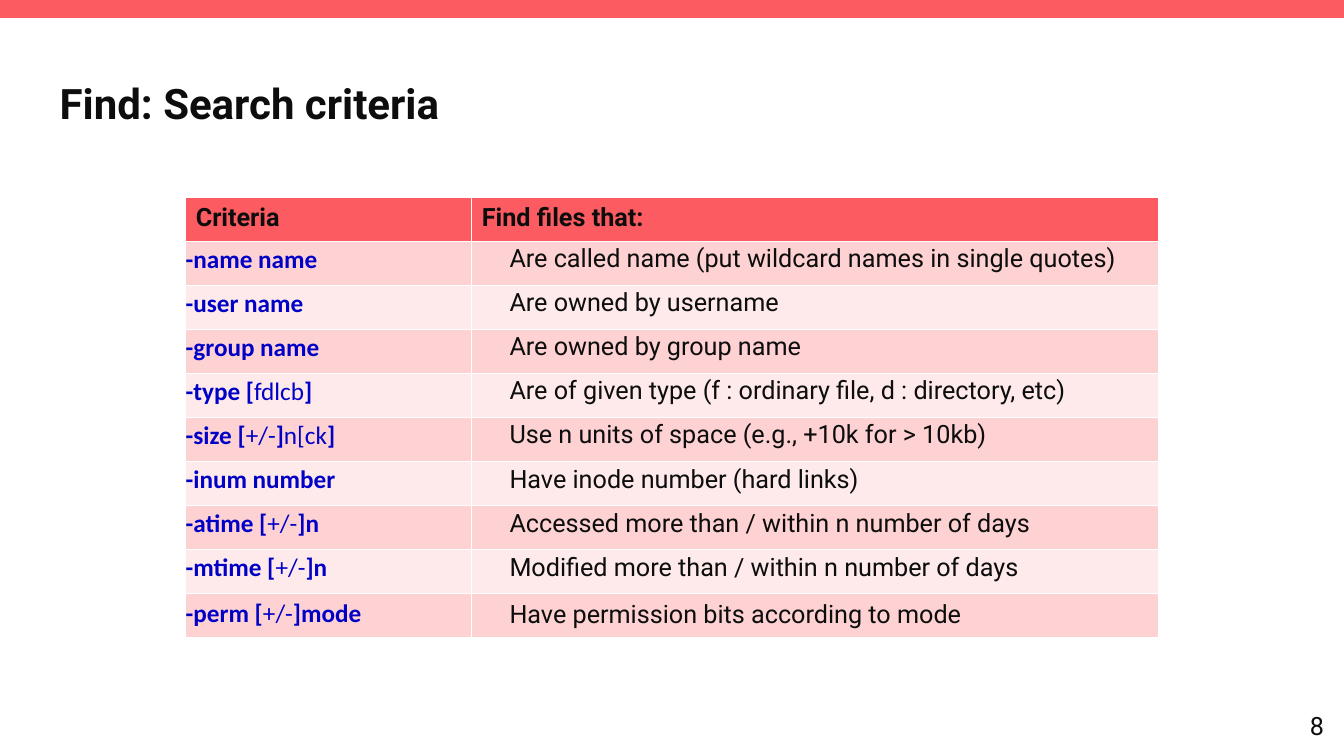
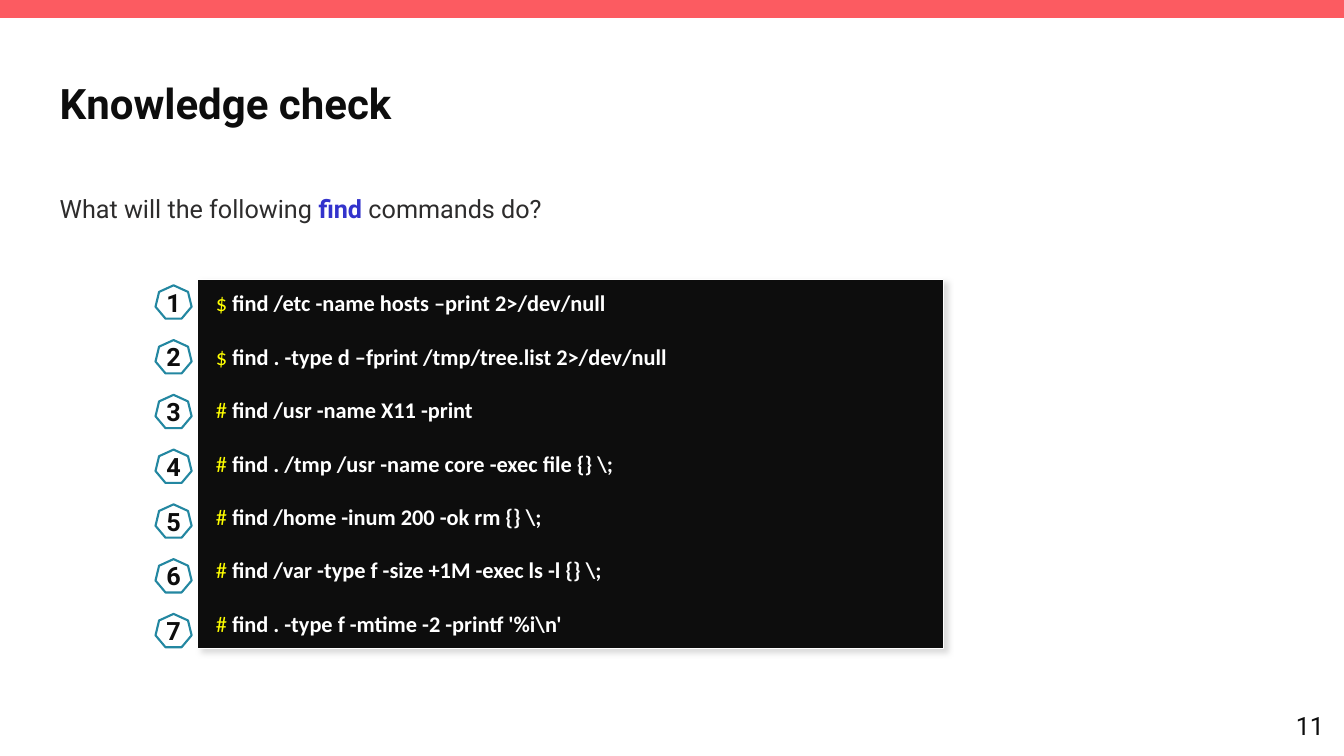
"""Build two slides on the find command: search criteria and a knowledge check."""
from dataclasses import dataclass

from lxml import etree
from pptx import Presentation
from pptx import util as u
from pptx.dml.color import RGBColor
from pptx.enum import shapes, text
from pptx.oxml import ns

COLORS = {
    "accent": "FC5B61",
    "ink": "0D0D0D",
    "body": "2D2C2C",
    "option": "0000C7",
    "keyword": "3333CC",
    "row_dark": "FED2D2",
    "row_light": "FEEAEA",
    "prompt": "FFFF00",
    "white": "FFFFFF",
    "badge": "2387A1",
    "shadow": "DADADA",
}


@dataclass(frozen=True)
class Style:
    name: str
    size: float
    color: str
    bold: bool = False


@dataclass(frozen=True)
class Span:
    text: str
    color: str | None = None
    bold: bool | None = None


@dataclass(frozen=True)
class Criterion:
    option: str
    meaning: str
    line_points: float | None = None


@dataclass(frozen=True)
class Command:
    prompt: str
    line: str


TITLE = Style("Roboto", 30, "ink", True)
HEADING = Style("Roboto", 18, "ink", True)
PLAIN = Style("Roboto", 18, "ink")
QUESTION = Style("Roboto", 18, "body")
OPTION = Style("Calibri", 18, "option")
CODE = Style("Calibri", 16, "white")

CRITERIA = [
    Criterion("-name name", "Are called name (put wildcard names in single quotes)"),
    Criterion("-user name", "Are owned by username"),
    Criterion("-group name", "Are owned by group name"),
    Criterion("-type [|fdlcb|]", "Are of given type (f : ordinary file, d : directory, etc)"),
    Criterion("-size [|+/-|]|n[ck|]", "Use n units of space (e.g., +10k for > 10kb)"),
    Criterion("-inum number", "Have inode number (hard links)"),
    Criterion("-atime [|+/-|]n", "Accessed more than / within n number of days"),
    Criterion("-mtime [|+/-|]n", "Modified more than / within n number of days"),
    Criterion("-perm [|+/-|]mode", "Have permission bits according to mode", 23.2),
]

COMMANDS = [
    Command("$ ", "find /etc -name hosts –print 2>/dev/null"),
    Command("$ ", "find . -type d –fprint /tmp/tree.list 2>/dev/null"),
    Command("# ", "find /usr -name X11 -print"),
    Command("# ", "find . /tmp /usr -name core -exec file {} \\;"),
    Command("# ", "find /home -inum 200 -ok rm {} \\;"),
    Command("# ", "find /var -type f -size +1M -exec ls -l {} \\;"),
    Command("# ", "find . -type f -mtime -2 -printf '%i\\n'"),
]


def rgb(name: str) -> RGBColor:
    return RGBColor.from_string(COLORS[name])


def write(paragraph, spans: list[Span], style: Style, align=text.PP_ALIGN.LEFT) -> None:
    paragraph.alignment = align
    font = paragraph.font
    font.name, font.size, font.bold = style.name, u.Pt(style.size), style.bold
    font.color.rgb = rgb(style.color)
    for span in spans:
        run = paragraph.add_run()
        run.text = span.text
        if span.bold is not None:
            run.font.bold = span.bold
        if span.color:
            run.font.color.rgb = rgb(span.color)


def place(shape, left: float, top: float, width: float, height: float) -> None:
    shape.left, shape.top = u.Cm(left), u.Cm(top)
    shape.width, shape.height = u.Cm(width), u.Cm(height)


def paint(shape, fill: str | None, line: str | None = None, points: float = 1) -> None:
    shape.shadow.inherit = False
    if fill:
        shape.fill.solid()
        shape.fill.fore_color.rgb = rgb(fill)
    else:
        shape.fill.background()
    if line:
        shape.line.color.rgb = rgb(line)
        shape.line.width = u.Pt(points)
    else:
        shape.line.fill.background()


def add_slide(presentation, layout_index: int, title: str, number: str):
    slide = presentation.slides.add_slide(presentation.slide_layouts[layout_index])
    band = slide.shapes.add_shape(
        shapes.MSO_SHAPE.RECTANGLE, 0, 0, presentation.slide_width, u.Cm(0.45))
    paint(band, "accent")

    heading = slide.shapes.title
    place(heading, 1.25, 1.4, 31.4, 2.39)
    frame = heading.text_frame
    frame.auto_size = text.MSO_AUTO_SIZE.NONE
    frame.vertical_anchor = text.MSO_ANCHOR.MIDDLE
    write(frame.paragraphs[0], [Span(title)], TITLE)

    page = slide.shapes.add_textbox(u.Cm(26), u.Cm(17.78), u.Cm(7.62), u.Cm(1.02))
    page.text_frame.word_wrap = True
    write(page.text_frame.paragraphs[0], [Span(number)], PLAIN, text.PP_ALIGN.RIGHT)
    return slide


def fill_cell(cell, spans: list[Span], style: Style, fill: str):
    cell.fill.solid()
    cell.fill.fore_color.rgb = rgb(fill)
    paragraph = cell.text_frame.paragraphs[0]
    write(paragraph, spans, style)
    return paragraph


def add_criteria_table(slide) -> None:
    table = slide.shapes.add_table(
        len(CRITERIA) + 1, 2, u.Cm(4.68), u.Cm(4.98), u.Cm(24.53), u.Cm(11.09)).table
    table.columns[0].width, table.columns[1].width = u.Cm(7.21), u.Cm(17.32)
    table.rows[0].height = u.Cm(1.1)
    for column, label in enumerate(["Criteria", "Find files that:"]):
        fill_cell(table.cell(0, column), [Span(label)], HEADING, "accent")

    for row, criterion in enumerate(CRITERIA, start=1):
        table.rows[row].height = u.Cm(1.11)
        fill = "row_dark" if row % 2 else "row_light"
        option = [Span(part, bold=index % 2 == 0)
                  for index, part in enumerate(criterion.option.split("|"))]
        columns = [(option, OPTION, 0), ([Span(criterion.meaning)], PLAIN, 0.95)]
        for column, (spans, style, indent) in enumerate(columns):
            cell = table.cell(row, column)
            cell.margin_left, cell.margin_top = u.Cm(indent), u.Cm(0.08)
            cell.margin_right = cell.margin_bottom = 0
            paragraph = fill_cell(cell, spans, style, fill)
            if criterion.line_points:
                paragraph.line_spacing = u.Pt(criterion.line_points)


def add_question(slide) -> None:
    body = slide.placeholders[1]
    place(body, 1.25, 4.83, 31.4, 12.09)
    body.text_frame.auto_size = text.MSO_AUTO_SIZE.NONE
    paragraph = body.text_frame.paragraphs[0]
    paragraph.space_before = 0
    paragraph.line_spacing = 0.9
    properties = paragraph._p.get_or_add_pPr()
    properties.set("marL", "0")
    properties.set("indent", "0")
    etree.SubElement(properties, ns.qn("a:buNone"))
    write(paragraph, [
        Span("What will the following "),
        Span("find ", "keyword", True),
        Span("commands do?"),
    ], QUESTION)


def add_drop_shadow(shape) -> None:
    effects = shape.element.spPr.find(ns.qn("a:effectLst"))
    distance = str(u.Pt(4))
    shadow = etree.SubElement(
        effects, ns.qn("a:outerShdw"), blurRad=distance, dist=distance, dir="2700000")
    etree.SubElement(shadow, ns.qn("a:srgbClr"), val=COLORS["shadow"])


def add_terminal(group) -> None:
    terminal = group.shapes.add_shape(
        shapes.MSO_SHAPE.RECTANGLE, u.Cm(4.98), u.Cm(7.04), u.Cm(18.8), u.Cm(9.3))
    paint(terminal, "ink", "white")
    add_drop_shadow(terminal)
    frame = terminal.text_frame
    frame.word_wrap = True
    frame.vertical_anchor = text.MSO_ANCHOR.TOP
    frame.margin_left, frame.margin_top = u.Cm(0.46), u.Cm(0.25)
    frame.margin_right, frame.margin_bottom = u.Cm(0.25), u.Cm(0.15)
    for index, command in enumerate(COMMANDS):
        paragraph = frame.add_paragraph() if index else frame.paragraphs[0]
        if index:
            paragraph.space_before = u.Pt(19)
        write(paragraph, [Span(command.prompt, "prompt"),
                          Span(command.line, bold=True)], CODE)


def add_badges(group) -> None:
    for index in range(len(COMMANDS)):
        badge = group.shapes.add_shape(
            shapes.MSO_SHAPE.HEPTAGON, u.Cm(3.92), u.Cm(7.19 + 1.38 * index),
            u.Cm(0.91), u.Cm(0.84))
        paint(badge, None, "badge", 1.5)
        frame = badge.text_frame
        frame.word_wrap = False
        frame.vertical_anchor = text.MSO_ANCHOR.MIDDLE
        frame.margin_left = frame.margin_right = 0
        frame.margin_top = frame.margin_bottom = 0
        write(frame.paragraphs[0], [Span(str(index + 1))], HEADING, text.PP_ALIGN.CENTER)


def main() -> None:
    presentation = Presentation()
    presentation.slide_width, presentation.slide_height = u.Cm(33.87), u.Cm(19.05)

    criteria_slide = add_slide(presentation, 5, "Find: Search criteria", "8")
    add_criteria_table(criteria_slide)

    check_slide = add_slide(presentation, 1, "Knowledge check", "11")
    add_question(check_slide)
    group = check_slide.shapes.add_group_shape()
    add_terminal(group)
    add_badges(group)

    presentation.save("out.pptx")


if __name__ == "__main__":
    main()
